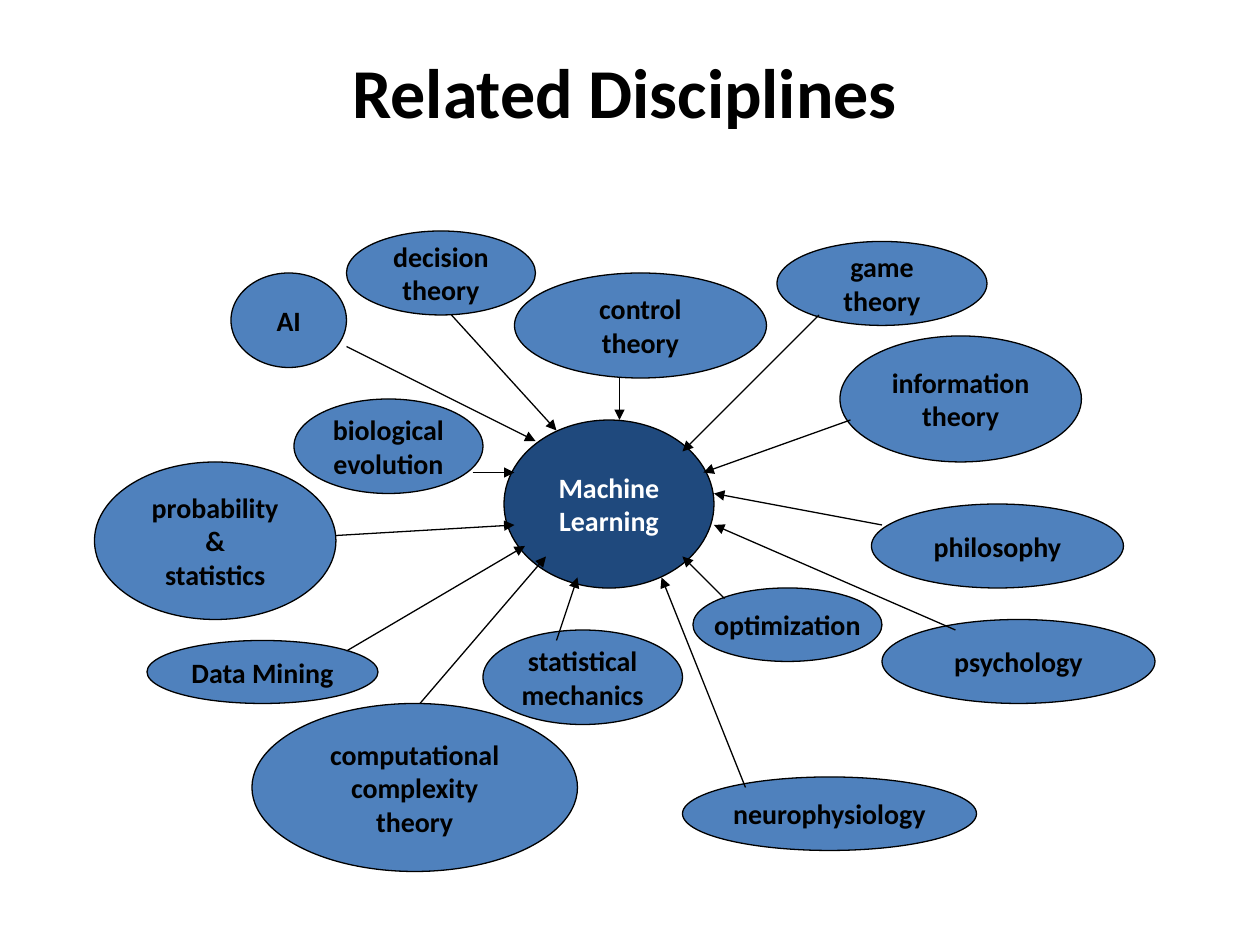
from pptx import Presentation
from pptx import util as u
from pptx.dml.color import RGBColor
from pptx.enum import shapes, text
from pptx.oxml.ns import qn
from lxml import etree

COLORS = {"ink": "000000", "paper": "FFFFFF", "hub": "1F497D", "field": "4F81BD"}
FONT = "Calibri"
COLUMNS, ROWS = 120, 90  # grid of the 10 x 7.5 inch slide

# Each field: text, ellipse (column, row, columns, rows), arrow start, arrow end
FIELDS = [
    ("AI", (22, 26, 11, 9), (33, 33), (51, 42)),
    ("probability\n&\nstatistics", (9, 44, 23, 15), (32, 51), (49, 50)),
    ("computational\ncomplexity\ntheory", (24, 67, 31, 16), (40, 67), (52, 53)),
    ("control\ntheory", (49, 26, 24, 10), (59, 36), (59, 40)),
    ("information\ntheory", (80, 32, 23, 12), (81, 40), (67, 45)),
    ("philosophy", (83, 48, 24, 8), (84, 50), (68, 47)),
    ("psychology", (84, 59, 26, 8), (91, 60), (68, 50)),
    ("neurophysiology", (65, 74, 28, 7), (71, 75), (63, 55)),
    ("Data Mining", (14, 61, 22, 6), (33, 62), (50, 52)),
    ("decision\ntheory", (33, 22, 18, 8), (43, 30), (53, 41)),
    ("game\ntheory", (74, 23, 20, 8), (78, 30), (65, 43)),
    ("optimization", (66, 56, 18, 7), (69, 57), (65, 53)),
    ("biological\nevolution", (28, 38, 18, 9), (45, 45), (49, 45)),
    ("statistical\nmechanics", (46, 60, 19, 9), (53, 61), (55, 55)),
]


def color(name):
    return RGBColor.from_string(COLORS[name])


def write(frame, words, size=16, ink="ink", wrap=False):
    """Fill a text frame with centred bold paragraphs, one per line."""
    frame.text = words
    frame.word_wrap = wrap
    frame.vertical_anchor = text.MSO_ANCHOR.MIDDLE
    for para in frame.paragraphs:
        para.alignment = text.PP_ALIGN.CENTER
        for span in para.runs:
            span.font.name = FONT
            span.font.size = u.Pt(size)
            span.font.bold = True
            span.font.color.rgb = color(ink)


class Diagram:
    def __init__(self, deck):
        self.width, self.height = deck.slide_width, deck.slide_height
        self.page = deck.slides.add_slide(deck.slide_layouts[5])
        self.group = None

    def x(self, columns):
        return round(self.width * columns / COLUMNS)

    def y(self, rows):
        return round(self.height * rows / ROWS)

    def frame(self, left, top, width, height):
        return self.x(left), self.y(top), self.x(width), self.y(height)

    def title(self, words, place):
        box = self.page.shapes.title
        box.left, box.top, box.width, box.height = self.frame(*place)
        write(box.text_frame, words, size=40, wrap=True)

    def start_group(self):
        self.group = self.page.shapes.add_group_shape()

    def outline(self, line):
        line.color.rgb = color("ink")
        line.width = u.Pt(0.75)

    def ellipse(self, words, place, fill="field", ink="ink"):
        shape = self.group.shapes.add_shape(shapes.MSO_SHAPE.OVAL, *self.frame(*place))
        shape.shadow.inherit = False
        shape.fill.solid()
        shape.fill.fore_color.rgb = color(fill)
        self.outline(shape.line)
        write(shape.text_frame, words, ink=ink)

    def arrow(self, start, end):
        arrow = self.group.shapes.add_connector(
            shapes.MSO_CONNECTOR.STRAIGHT,
            self.x(start[0]), self.y(start[1]), self.x(end[0]), self.y(end[1]))
        self.outline(arrow.line)
        etree.SubElement(arrow.line._get_or_add_ln(), qn("a:tailEnd"), type="triangle")
        etree.SubElement(arrow._element.spPr, qn("a:effectLst"))


def main():
    deck = Presentation()
    deck.slide_width, deck.slide_height = u.Inches(10), u.Inches(7.5)
    diagram = Diagram(deck)

    # Title
    diagram.title("Related Disciplines", (6, 2.2, 107, 12.8))

    # Hub and the fields around it
    diagram.start_group()
    diagram.ellipse("Machine\nLearning", (48, 40, 20, 16), fill="hub", ink="paper")
    for words, place, _, _ in FIELDS:
        diagram.ellipse(words, place)

    # Arrows from each field to the hub
    for _, _, start, end in FIELDS:
        diagram.arrow(start, end)

    deck.save("out.pptx")


if __name__ == "__main__":
    main()
